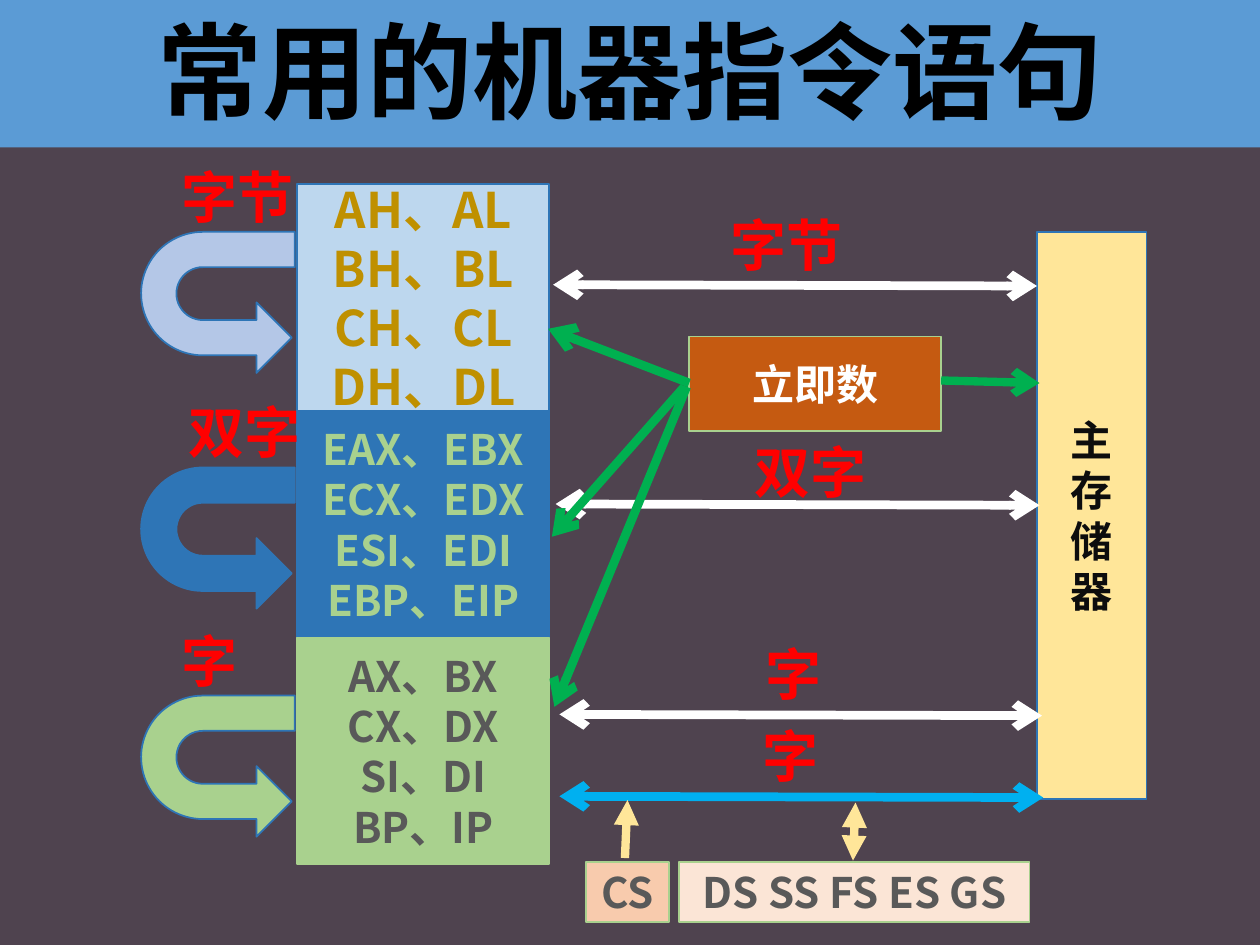
from lxml import etree
from pptx import Presentation
from pptx.dml.color import RGBColor
from pptx.enum.shapes import MSO_CONNECTOR, MSO_SHAPE
from pptx.enum.text import MSO_ANCHOR, MSO_AUTO_SIZE, PP_ALIGN
from pptx.oxml.ns import qn
from pptx.util import Inches, Pt

RECT, UTURN = MSO_SHAPE.RECTANGLE, MSO_SHAPE.U_TURN_ARROW
STRAIGHT = MSO_CONNECTOR.STRAIGHT
TOP, MIDDLE = MSO_ANCHOR.TOP, MSO_ANCHOR.MIDDLE
CENTER, LEFT = PP_ALIGN.CENTER, PP_ALIGN.LEFT
NO_FIT = MSO_AUTO_SIZE.NONE

BACKDROP = RGBColor(0x4F, 0x43, 0x4F)
BAND_BLUE = RGBColor(0x5B, 0x9B, 0xD5)
BLACK = RGBColor(0, 0, 0)
INK = RGBColor(0x0D, 0x0D, 0x0D)
WHITE = RGBColor(255, 255, 255)
RED = RGBColor(255, 0, 0)
GRAY = RGBColor(0x59, 0x59, 0x59)
GOLD = RGBColor(0xBF, 0x90, 0)
PALE_BLUE = RGBColor(0xBD, 0xD7, 0xEE)
LAVENDER = RGBColor(0xB4, 0xC7, 0xE7)
BLUE = RGBColor(0x2E, 0x75, 0xB6)
SKY = RGBColor(0, 0xB0, 0xF0)
LIGHT_GREEN = RGBColor(0xA9, 0xD1, 0x8E)
GREEN = RGBColor(0, 0xB0, 0x50)
YELLOW = RGBColor(0xFF, 0xE6, 0x99)
RUST = RGBColor(0xC5, 0x5A, 0x11)
PEACH = RGBColor(0xF8, 0xCB, 0xAD)
PALE_PEACH = RGBColor(0xFB, 0xE5, 0xD6)

CJK = "Noto Sans CJK SC"
REG_LEFT, REG_TOP, REG_WIDTH, REG_ROW = 2.36, 1.46, 2, 1.8

prs = Presentation()
prs.slide_width, prs.slide_height = Inches(10), Inches(7.5)
slide = prs.slides.add_slide(prs.slide_layouts[5])
slide.background.fill.solid()
slide.background.fill.fore_color.rgb = BACKDROP
shapes = slide.shapes


def write(shape, lines, size, color, font=CJK, align=CENTER, anchor=MIDDLE):
    frame = shape.text_frame
    frame.word_wrap, frame.auto_size = True, NO_FIT
    frame.vertical_anchor = anchor
    for i, line in enumerate(lines):
        paragraph = frame.add_paragraph() if i else frame.paragraphs[0]
        paragraph.alignment = align
        run = paragraph.add_run()
        run.text = line
        run.font.name, run.font.size, run.font.bold = font, Pt(size), True
        run.font.color.rgb = color


def block(kind, left, top, width, height, fill, outline=None):
    shape = shapes.add_shape(kind, Inches(left), Inches(top), Inches(width), Inches(height))
    shape.shadow.inherit = False
    shape.fill.solid()
    shape.fill.fore_color.rgb = fill
    if outline is None:
        shape.line.fill.background()
    else:
        shape.line.color.rgb, shape.line.width = outline, Pt(1)
    return shape


# Title on its band
band = block(RECT, 0, 0, 10, 1.17, BAND_BLUE)
shapes._spTree.insert(2, band._element)
title = shapes.title
title.left, title.top, title.width, title.height = 0, 0, Inches(10), Inches(1.11)
write(title, ["常用的机器指令语句"], 60, BLACK, "Calibri", anchor=TOP)

# Register groups, each with its move-to-itself arrow
registers = [
    (["AH、AL", "BH、BL", "CH、CL", "DH、DL"], 28, GOLD, PALE_BLUE, BLUE, LAVENDER, 1.79),
    (["EAX、EBX", "ECX、EDX", "ESI、EDI", "EBP、EIP"], 24, LIGHT_GREEN, BLUE, BLUE, BLUE, 3.66),
    (["AX、BX", "CX、DX", "SI、DI", "BP、IP"], 24, GRAY, LIGHT_GREEN, LIGHT_GREEN, LIGHT_GREEN, 5.47),
]
for row, (names, size, color, fill, outline, loop_fill, loop_top) in enumerate(registers):
    group = block(RECT, REG_LEFT, REG_TOP + row * REG_ROW, REG_WIDTH, REG_ROW, fill, outline)
    write(group, names, size, color)
    loop = block(UTURN, 1.17, loop_top, 1.12, 1.22, loop_fill, BLUE)
    loop.rotation = 90
    loop._element.spPr.find(qn("a:xfrm")).set("flipV", "1")
    for i, share in enumerate((0.25, 0.25, 0.25, 0.438, 0.98)):
        loop.adjustments[i] = share

# Memory, immediate value and segment registers
boxes = [
    (8.23, 1.84, 0.87, 4.5, YELLOW, BLUE, "主存储器", INK),
    (5.47, 2.67, 2, 0.75, RUST, LIGHT_GREEN, ["立即数"], WHITE),
    (4.65, 6.84, 0.66, 0.48, PEACH, LIGHT_GREEN, ["CS"], GRAY),
    (5.39, 6.84, 2.78, 0.48, PALE_PEACH, LIGHT_GREEN, ["DS SS FS ES GS"], GRAY),
]
for left, top, width, height, fill, outline, lines, color in boxes:
    write(block(RECT, left, top, width, height, fill, outline), lines, 24, color)

# Data paths: start, end, colour, width, arrowhead at start, arrowhead at end
paths = [
    (4.39, 2.26, 8.23, 2.27, WHITE, 5, "arrow", "arrow"),
    (4.41, 4, 8.25, 4.01, WHITE, 5, "arrow", "arrow"),
    (4.44, 5.67, 8.27, 5.68, WHITE, 5, "arrow", "arrow"),
    (5.43, 3.07, 4.38, 4.26, GREEN, 5, None, "arrow"),
    (8.25, 3.04, 7.47, 3.02, GREEN, 4.75, "arrow", None),
    (5.47, 3.04, 4.35, 2.61, GREEN, 5, None, "arrow"),
    (5.45, 3.07, 4.4, 5.61, GREEN, 5, None, "arrow"),
    (4.44, 6.32, 8.28, 6.33, SKY, 5, "arrow", "arrow"),
    (4.98, 6.35, 4.96, 6.81, YELLOW, 4.75, "triangle", None),
    (6.79, 6.37, 6.77, 6.83, YELLOW, 4.75, "triangle", "triangle"),
]
for x1, y1, x2, y2, color, width, head, tail in paths:
    link = shapes.add_connector(STRAIGHT, Inches(x1), Inches(y1), Inches(x2), Inches(y2))
    link.line.color.rgb, link.line.width = color, Pt(width)
    for tag, end in (("a:headEnd", head), ("a:tailEnd", tail)):
        if end:
            etree.SubElement(link.line._get_or_add_ln(), qn(tag), type=end)
    etree.SubElement(link._element.spPr, qn("a:effectLst"))

# Operand sizes
labels = [
    ("字节", 1.34, 1.24), ("双字", 1.4, 3.11), ("字", 1.34, 4.92),
    ("字节", 5.7, 1.62), ("双字", 5.89, 3.42), ("字", 5.98, 5.03), ("字", 5.95, 5.68),
]
for operand, left, top in labels:
    label = shapes.add_textbox(Inches(left), Inches(top), Inches(1.22), Inches(0.64))
    write(label, [operand], 32, RED, "Calibri", LEFT, TOP)

prs.save("out.pptx")
